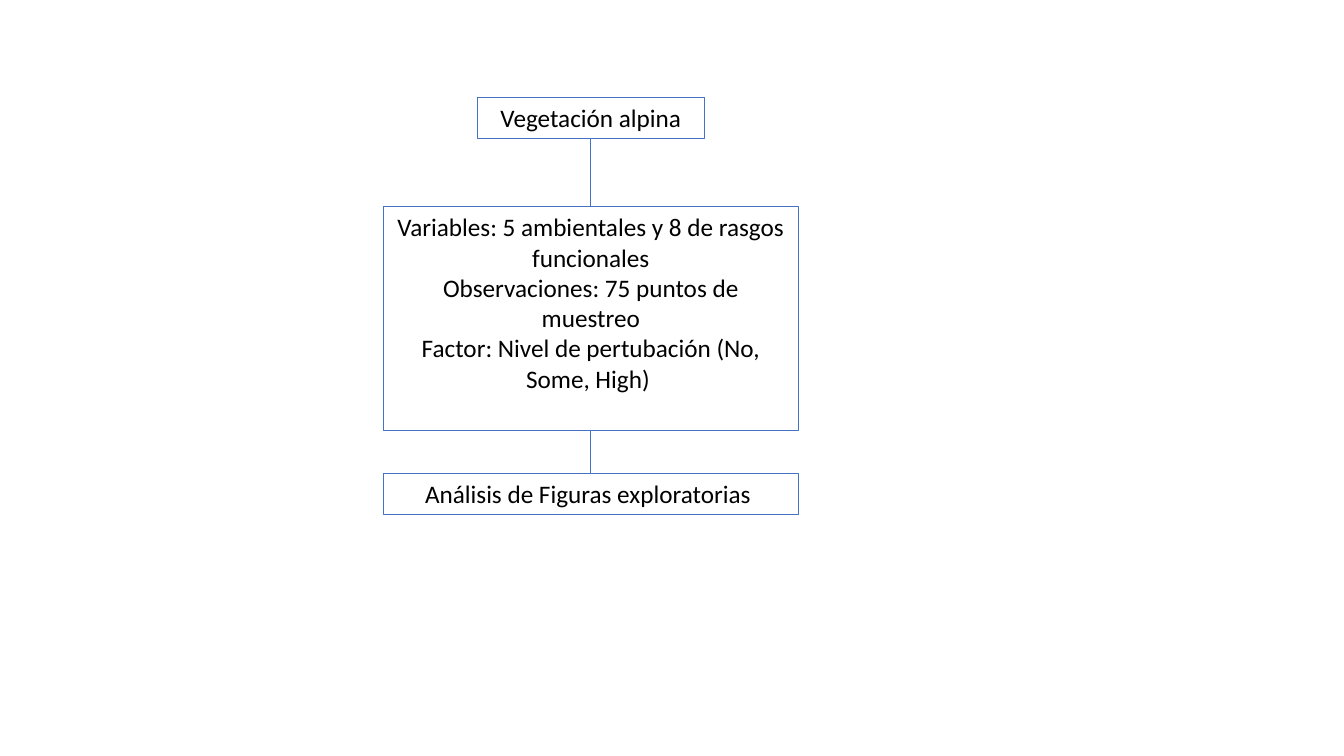
from dataclasses import dataclass

from lxml import etree
from pptx import Presentation
from pptx.dml.color import RGBColor
from pptx.enum.shapes import MSO_CONNECTOR, MSO_SHAPE
from pptx.enum.text import MSO_ANCHOR, PP_ALIGN
from pptx.oxml.ns import qn
from pptx.util import Cm, Pt

RECTANGLE = MSO_SHAPE.RECTANGLE
STRAIGHT = MSO_CONNECTOR.STRAIGHT
TOP = MSO_ANCHOR.TOP
CENTER = PP_ALIGN.CENTER


@dataclass(frozen=True)
class Theme:
    font: str = "Calibri"
    text_size: float = 18
    text_color: str = "000000"
    line_color: str = "4472C4"
    border_width: float = 0.75
    connector_width: float = 0.5


def apply_format(target, values):
    for name, value in values.items():
        setattr(target, name, value)


class FlowchartBuilder:
    def __init__(self, slide, theme):
        self.slide = slide
        self.theme = theme

    def style_line(self, line, width):
        line.color.rgb = RGBColor.from_string(self.theme.line_color)
        line.width = Pt(width)

    def add_box(self, center, top, width, height, texts):
        """Draw an outlined box centred on a vertical axis, in centimetres."""
        shape = self.slide.shapes.add_shape(
            RECTANGLE, Cm(center - width / 2), Cm(top), Cm(width), Cm(height)
        )
        shape.shadow.inherit = False
        shape.fill.background()
        self.style_line(shape.line, self.theme.border_width)
        frame = shape.text_frame
        apply_format(frame, {"word_wrap": True, "vertical_anchor": TOP})
        for index, text in enumerate(texts):
            paragraph = frame.add_paragraph() if index else frame.paragraphs[0]
            paragraph.alignment = CENTER
            run = paragraph.add_run()
            run.text = text
            apply_format(
                run.font,
                {"name": self.theme.font, "size": Pt(self.theme.text_size)},
            )
            run.font.color.rgb = RGBColor.from_string(self.theme.text_color)
        return shape

    def join(self, upper, lower):
        """Connect the bottom of one box to the top of the next."""
        connector = self.slide.shapes.add_connector(STRAIGHT, 0, 0, 0, 0)
        connector.begin_connect(upper, 2)
        connector.end_connect(lower, 0)
        self.style_line(connector.line, self.theme.connector_width)
        etree.SubElement(connector._element.spPr, qn("a:effectLst"))


def main():
    presentation = Presentation()
    presentation.slide_width = Cm(33.87)
    presentation.slide_height = Cm(19.05)
    slide = presentation.slides.add_slide(presentation.slide_layouts[6])
    builder = FlowchartBuilder(slide, Theme())

    axis = 14.89
    steps = [
        (2.46, 5.72, 1.03, ["Vegetación alpina"]),
        (5.21, 10.46, 5.64, [
            "Variables: 5 ambientales y 8 de rasgos funcionales",
            "Observaciones: 75 puntos de muestreo",
            "Factor: Nivel de pertubación (No, Some, High) ",
        ]),
        (11.94, 10.46, 1.03, ["Análisis de Figuras exploratorias "]),
    ]
    boxes = [builder.add_box(axis, *step) for step in steps]
    for upper, lower in zip(boxes, boxes[1:]):
        builder.join(upper, lower)

    presentation.save("out.pptx")


if __name__ == "__main__":
    main()
